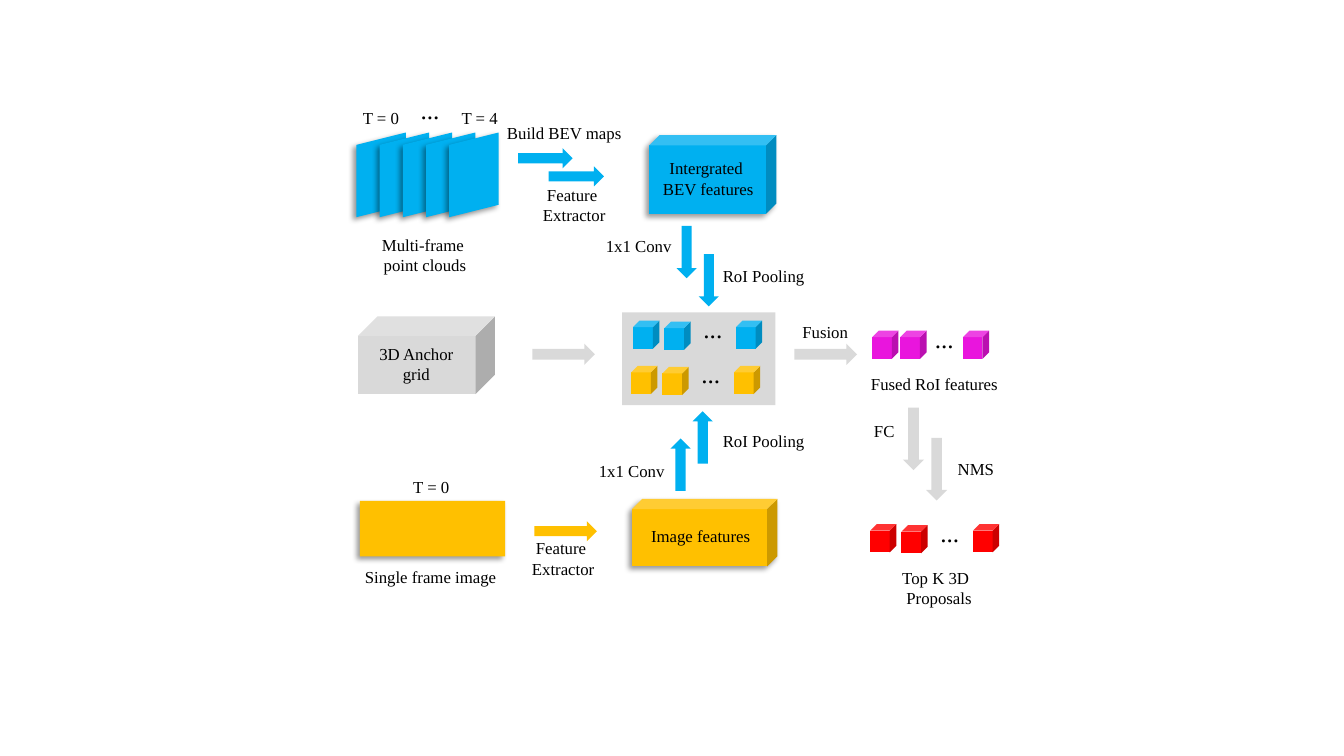
from pptx import Presentation
from pptx.dml.color import RGBColor
from pptx.enum.shapes import MSO_SHAPE
from pptx.enum.text import MSO_AUTO_SIZE, PP_ALIGN
from pptx.oxml import parse_xml
from pptx.oxml.ns import nsdecls
from pptx.util import Inches, Pt

CUBE, RECT = MSO_SHAPE.CUBE, MSO_SHAPE.RECTANGLE
ARROW, FRAME = MSO_SHAPE.RIGHT_ARROW, MSO_SHAPE.PARALLELOGRAM
LEFT, CENTER = PP_ALIGN.LEFT, PP_ALIGN.CENTER
FIT = MSO_AUTO_SIZE.SHAPE_TO_FIT_TEXT
RIGHT, DOWN, UP = 0, 90, 270
BLUE, YELLOW, GREY = "00B0F0", "FFC000", "D9D9D9"
MAGENTA, RED, BLACK = "E915DD", "FF0000", "000000"

SHADOW = (
    f'<a:effectLst {nsdecls("a")}><a:outerShdw blurRad="50800" dist="38100" '
    'dir="8100000" algn="tr" rotWithShape="0"><a:srgbClr val="000000">'
    '<a:alpha val="40000"/></a:srgbClr></a:outerShdw></a:effectLst>'
)


def rgb(value):
    return RGBColor.from_string(value)


def set_all(target, values):
    for key, value in values.items():
        setattr(target, key, value)


class Diagram:
    font = {"name": "Times New Roman", "size": Pt(12)}
    frame = {"word_wrap": False, "auto_size": FIT}

    def __init__(self, slide):
        self.slide = slide

    def shape(self, kind, x, y, w, h, color, angle=0, adjust=None, shadow=False):
        item = self.slide.shapes.add_shape(
            kind, Inches(x), Inches(y), Inches(w), Inches(h))
        item.fill.solid()
        item.fill.fore_color.rgb = rgb(color)
        item.line.fill.background()
        item.rotation = angle
        if adjust is not None:
            item.adjustments[0] = adjust
        if shadow:
            item._element.spPr.append(parse_xml(SHADOW))
        else:
            item.shadow.inherit = False
        return item

    def frames(self, x, y, step, count, color):
        for index in range(count):
            frame = self.shape(FRAME, x + index * step, y, 0.84, 0.49, color,
                               angle=90, shadow=True)
            frame._element.spPr.xfrm.set("flipV", "1")

    def arrow(self, x, y, length, color, angle=RIGHT, width=0.2):
        self.shape(ARROW, x, y, length, width, color, angle)

    def text(self, x, y, w, words, align=LEFT, size=12):
        lines = words.split("\n")
        height = 0.4 if size == 18 else 0.1 + 0.2 * len(lines)
        box = self.slide.shapes.add_textbox(
            Inches(x), Inches(y), Inches(w), Inches(height))
        set_all(box.text_frame, self.frame)
        box.text_frame.text = words
        for paragraph in box.text_frame.paragraphs:
            paragraph.alignment = align
            for run in paragraph.runs:
                set_all(run.font, {**self.font, "size": Pt(size)})
                run.font.color.rgb = rgb(BLACK)

    def dots(self, center, y):
        self.text(center - 0.2, y, 0.39, "...", CENTER, 18)

    def cube_row(self, x, y, color, second=0.31, last=1.02, drop=0.01):
        for dx, dy in ((0, 0), (second, drop), (last, 0)):
            self.shape(CUBE, x + dx, y + dy, 0.26, 0.28, color)
        self.dots(x + (second + last + 0.26) / 2, y - 0.12)


prs = Presentation()
prs.slide_width, prs.slide_height = Inches(13.33), Inches(7.5)
diagram = Diagram(prs.slides.add_slide(prs.slide_layouts[6]))

# Point cloud input
diagram.frames(3.36, 1.49, 0.23, 5, BLUE)
diagram.text(3.5, 1.02, 0.57, "T = 0")
diagram.dots(4.27, 0.89)
diagram.text(4.48, 1.02, 0.57, "T = 4")
diagram.text(3.66, 2.28, 1.07, "Multi-frame\n point clouds", CENTER)

# Bird's-eye-view branch
diagram.text(4.93, 1.17, 1.35, "Build BEV maps")
diagram.arrow(5.14, 1.47, 0.54, BLUE)
diagram.arrow(5.44, 1.65, 0.55, BLUE)
diagram.text(5.24, 1.78, 0.87, "Feature\n Extractor", CENTER)
diagram.shape(CUBE, 6.44, 1.34, 1.26, 0.78, BLUE, adjust=0.13, shadow=True)
diagram.text(6.47, 1.52, 1.11, "Intergrated \nBEV features", CENTER)

# Image branch
diagram.text(4, 4.68, 0.57, "T = 0")
diagram.shape(RECT, 3.57, 4.97, 1.44, 0.55, YELLOW, shadow=True)
diagram.text(3.52, 5.57, 1.53, "Single frame image")
diagram.arrow(5.3, 5.17, 0.62, YELLOW)
diagram.text(5.13, 5.29, 0.87, "Feature\n Extractor", CENTER)
diagram.shape(CUBE, 6.27, 4.95, 1.44, 0.67, YELLOW, adjust=0.15, shadow=True)
diagram.text(6.35, 5.17, 1.2, "Image features", CENTER)

# Anchor grid
diagram.shape(CUBE, 3.55, 3.14, 1.36, 0.77, GREY)
diagram.text(3.66, 3.36, 0.94, "3D Anchor\ngrid", CENTER)
diagram.arrow(5.28, 3.41, 0.62, GREY, width=0.21)

# Convolution and pooling steps into the regions
for x, y, angle in ((6.55, 2.4, DOWN), (6.77, 2.68, DOWN),
                    (6.49, 4.51, UP), (6.71, 4.24, UP)):
    diagram.arrow(x, y, 0.52, BLUE, angle)
for x, y in ((5.91, 2.29), (5.84, 4.52)):
    diagram.text(x, y, 0.85, "1x1 Conv")
for y in (2.59, 4.22):
    diagram.text(7.07, y, 1.02, "RoI Pooling")

# Pooled regions
diagram.shape(RECT, 6.17, 3.1, 1.52, 0.92, GREY)
diagram.cube_row(6.28, 3.18, BLUE)
diagram.cube_row(6.26, 3.63, YELLOW)

# Fusion
diagram.text(7.86, 3.14, 0.7, "Fusion")
diagram.arrow(7.88, 3.41, 0.62, GREY, width=0.21)
diagram.cube_row(8.65, 3.28, MAGENTA, second=0.28, last=0.9, drop=0)
diagram.text(8.54, 3.66, 1.48, "Fused RoI features")

# Final proposals
diagram.text(8.57, 4.12, 0.46, "FC")
diagram.arrow(8.75, 4.25, 0.62, GREY, DOWN, 0.21)
diagram.arrow(8.98, 4.55, 0.62, GREY, DOWN, 0.21)
diagram.text(9.4, 4.5, 0.58, "NMS")
diagram.cube_row(8.63, 5.2, RED)
diagram.text(8.85, 5.58, 0.89, "Top K 3D\n Proposals")

prs.save("out.pptx")
